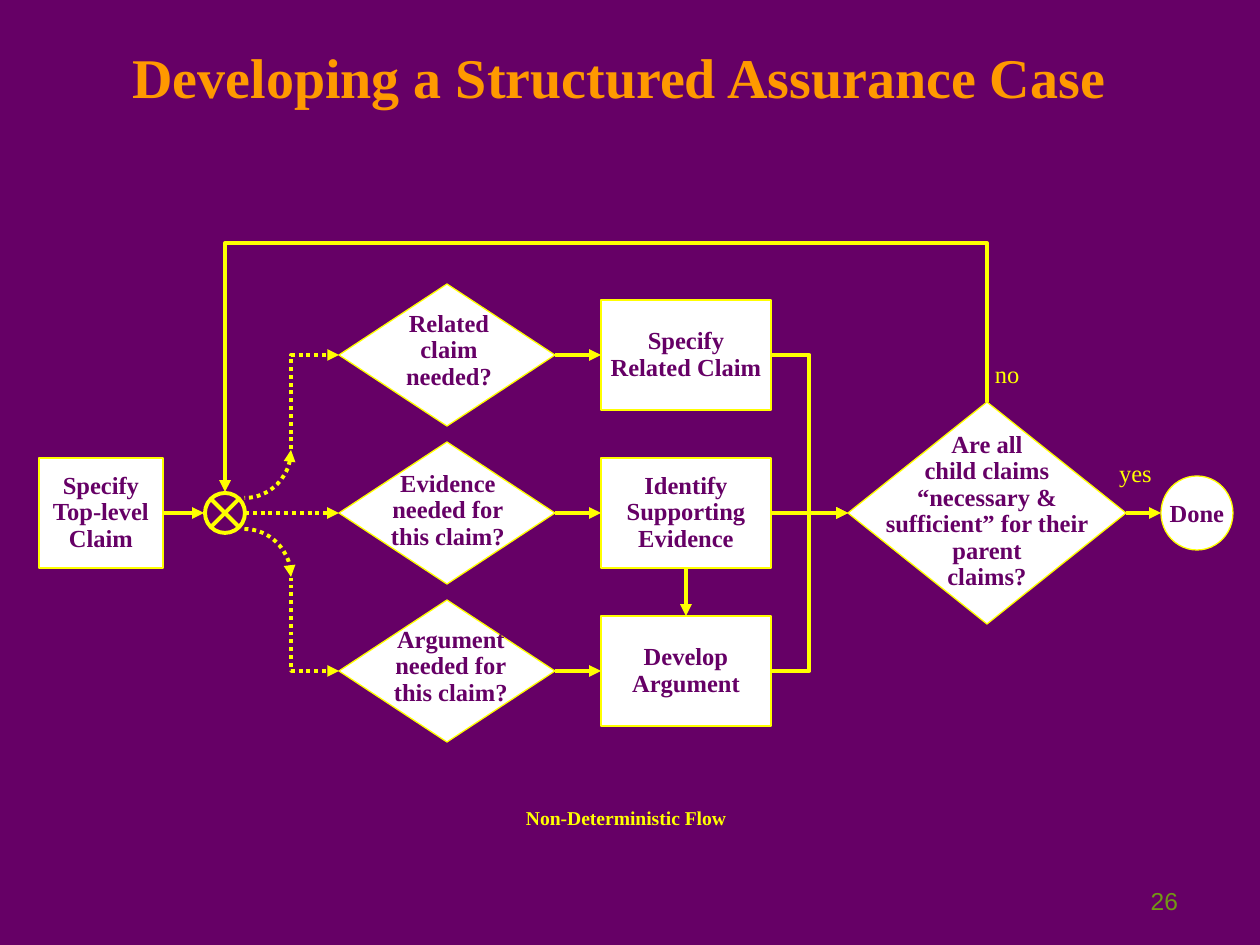
"""Build the slide 'Developing a Structured Assurance Case'."""
from lxml.etree import SubElement
from pptx import Presentation
from pptx.dml.color import RGBColor
from pptx.enum.dml import MSO_LINE
from pptx.enum.shapes import MSO_CONNECTOR, MSO_SHAPE
from pptx.enum.text import MSO_ANCHOR, PP_ALIGN
from pptx.oxml.ns import qn
from pptx.util import Pt

SCALE = 914400 / 126
COLORS = {"purple": "660066", "yellow": "FFFF00", "white": "FFFFFF",
          "orange": "FF9900", "green": "729814"}
SERIF = "Times New Roman"
LABEL = {"size": 14, "bold": True, "name": SERIF, "color": "purple"}
NOTE = {"size": 14, "bold": False, "name": SERIF, "color": "yellow"}
TITLE = {"size": 32, "bold": True, "name": SERIF, "color": "orange"}
CAPTION = {"size": 11.2, "bold": True, "name": SERIF, "color": "yellow"}
NUMBER = {"size": 14, "bold": False, "name": "Arial", "color": "green"}
LEFT, CENTER, RIGHT = PP_ALIGN.LEFT, PP_ALIGN.CENTER, PP_ALIGN.RIGHT
TOP, MIDDLE, BOTTOM = MSO_ANCHOR.TOP, MSO_ANCHOR.MIDDLE, MSO_ANCHOR.BOTTOM
STRAIGHT, ELBOW = MSO_CONNECTOR.STRAIGHT, MSO_CONNECTOR.ELBOW
RECT, DIAMOND, OVAL = MSO_SHAPE.RECTANGLE, MSO_SHAPE.DIAMOND, MSO_SHAPE.OVAL

ROWS = [355, 513, 671]
MID = ROWS[1]
QUESTIONS = [
    ("Related\nclaim\nneeded?", (369, 311, 160, 57)),
    ("Evidence\nneeded for\nthis claim?", (378, 471, 140, 72)),
    ("Argument\nneeded for\nthis claim?", (381, 627, 140, 72)),
]
STEPS = ["Specify Related Claim", "Identify Supporting Evidence", "Develop Argument"]
DECISION = "Are all\nchild claims “necessary & sufficient” for their parent\nclaims?"
TEXTS = [
    ("Developing a Structured Assurance Case", (84, 32, 1071, 84), TITLE,
     {"align": CENTER, "anchor": BOTTOM}),
    ("Non-Deterministic Flow", (63, 800, 1126, 39), CAPTION, {"align": CENTER}),
    (DECISION, (854, 426, 266, 173), LABEL, {"align": CENTER, "spacing": 0.9}),
    ("no", (995, 362, 25, 26), NOTE, {"inset": (0, 0), "wrap": False, "spacing": 0.9}),
    ("yes", (1119, 461, 33, 26), NOTE, {"inset": (0, 0), "wrap": False, "spacing": 0.9}),
    ("26", (998, 858, 193, 63), NUMBER, {"align": RIGHT, "anchor": BOTTOM}),
]
ARCS = [((198, 402, 93, 96), (0, 54), "headEnd"),
        ((198, 529, 93, 96), (162, 0), "tailEnd")]


def px(*values):
    return [round(v * SCALE) for v in values]


def rgb(name):
    return RGBColor.from_string(COLORS[name])


def write(sp, text, font, align=LEFT, anchor=TOP, inset=(13, 6), wrap=True, spacing=None):
    tf = sp.text_frame
    x, y = px(*inset)
    frame = {"text": text, "word_wrap": wrap, "vertical_anchor": anchor, "margin_left": x,
             "margin_right": x, "margin_top": y, "margin_bottom": y}
    for key, value in frame.items():
        setattr(tf, key, value)
    for p in tf.paragraphs:
        p.alignment, p.line_spacing = align, spacing
        for r in p.runs:
            for key in ("name", "bold"):
                setattr(r.font, key, font[key])
            r.font.size = Pt(font["size"])
            r.font.color.rgb = rgb(font["color"])


def stroke(item, width=2.25, dotted=False, end=None):
    item.line.color.rgb = rgb("yellow")
    item.line.width = Pt(width)
    if dotted:
        item.line.dash_style = MSO_LINE.ROUND_DOT
    if end:
        SubElement(item.line._get_or_add_ln(), qn(f"a:{end}"), type="triangle")


def shape(shapes, kind, box, fill=None, width=0.75):
    sp = shapes.add_shape(kind, *px(*box))
    sp.shadow.inherit = False
    if fill:
        sp.fill.solid()
        sp.fill.fore_color.rgb = rgb(fill)
    else:
        sp.fill.background()
    if width:
        stroke(sp, width)
    else:
        sp.line.fill.background()
    return sp


def centred(shapes, kind, left, middle, w, h, fill="white", width=0.75):
    return shape(shapes, kind, (left, middle - h / 2, w, h), fill, width)


def connect(shapes, start, stop, kind=STRAIGHT, begin=None, finish=None, bend=None,
            rotation=0, dotted=False, end="tailEnd"):
    c = shapes.add_connector(kind, *px(*start, *stop))
    if begin:
        c.begin_connect(*begin)
    if finish:
        c.end_connect(*finish)
    stroke(c, dotted=dotted, end=end)
    spPr = c._element.spPr
    if bend is not None:
        av = spPr.find(qn("a:prstGeom")).find(qn("a:avLst"))
        SubElement(av, qn("a:gd"), name="adj1", fmla=f"val {round(bend * 100000)}")
    if rotation:
        spPr.find(qn("a:xfrm")).set("rot", str(rotation * 60000))
    SubElement(spPr, qn("a:effectLst"))
    return c


def main():
    prs = Presentation()
    prs.slide_width, prs.slide_height = px(1260, 945)
    s = prs.slides.add_slide(prs.slide_layouts[6])
    s.background.fill.solid()
    s.background.fill.fore_color.rgb = rgb("purple")
    shapes = s.shapes

    box_text = {"align": CENTER, "anchor": MIDDLE, "inset": (6, 6), "spacing": 0.9}
    claim = centred(shapes, RECT, 39, MID, 124, 110)
    write(claim, "Specify Top-level Claim", LABEL, **box_text)
    decision = centred(shapes, DIAMOND, 848, MID, 278, 222)
    done = centred(shapes, OVAL, 1161, MID, 72, 74)
    write(done, "Done", LABEL, CENTER, MIDDLE, wrap=False)

    steps = []
    for middle, (question, box), label in zip(ROWS, QUESTIONS, STEPS):
        diamond = centred(shapes, DIAMOND, 339, middle, 216, 142)
        write(shapes.add_textbox(*px(*box)), question, LABEL, CENTER,
              inset=(0, 0), spacing=0.9)
        step = centred(shapes, RECT, 601, middle, 170, 110)
        write(step, label, LABEL, **box_text)
        steps.append(step)
        connect(shapes, (555, middle), (601, middle), begin=(diamond, 3), finish=(step, 1))
        if middle != MID:
            connect(shapes, (771, middle), (848, MID), ELBOW, bend=0.5)
            connect(shapes, (245, MID), (339, middle), ELBOW, bend=0.49, dotted=True)

    connect(shapes, (771, MID), (848, MID), begin=(steps[1], 3), finish=(decision, 1))
    connect(shapes, (686, 568), (686, 616), begin=(steps[1], 2), finish=(steps[2], 0))
    connect(shapes, (163, MID), (204, MID), begin=(claim, 3))
    connect(shapes, (1126, MID), (1161, MID), begin=(decision, 3))

    x1, y1, x2, y2 = 987, 402, 225, 492
    cx, cy, run, drop = (x1 + x2) / 2, (y1 + y2) / 2, x1 - x2, y2 - y1
    connect(shapes, (cx - drop / 2, cy - run / 2), (cx + drop / 2, cy + run / 2), ELBOW,
            bend=(243 - y1) / drop, rotation=90)

    shape(shapes, RECT, (245, 450, 61, 128), "purple", 0)
    for box, angles, end in ARCS:
        arc = shape(shapes, MSO_SHAPE.ARC, box)
        for i, angle in enumerate(angles):
            arc.adjustments[i] = angle
        stroke(arc, dotted=True, end=end)
    connect(shapes, (245, MID), (339, MID), dotted=True)

    junction = shapes.add_group_shape().shapes
    centred(junction, OVAL, 205, MID, 40, 40, None, 2.25)
    for d in (-14, 14):
        connect(junction, (211, MID + d), (239, MID - d), end=None)

    for text, box, font, layout in TEXTS:
        write(shapes.add_textbox(*px(*box)), text, font, **layout)
    prs.save("out.pptx")


if __name__ == "__main__":
    main()
